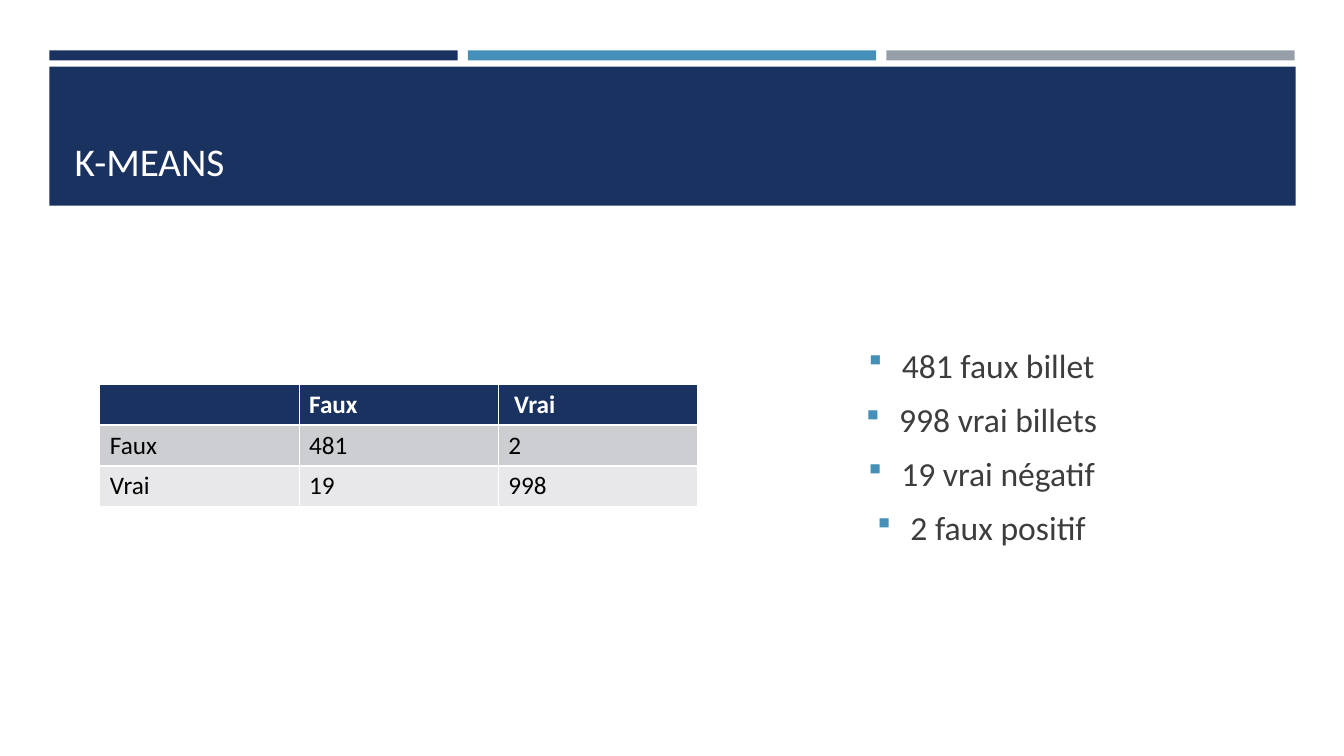
from pptx import Presentation as Deck
from pptx.dml.color import RGBColor as RGB
from pptx.enum.shapes import MSO_SHAPE as Form
from pptx.enum.text import MSO_ANCHOR as Anchor, PP_ALIGN as Align
from pptx.oxml.ns import qn
from pptx.util import Inches, Pt
from lxml.etree import SubElement as Sub

NAVY = RGB(0x1A, 0x32, 0x60)
BLUE = RGB(0x45, 0x90, 0xB8)
GREY = RGB(0x96, 0x9F, 0xA7)
WHITE = RGB(0xFF, 0xFF, 0xFF)
BLACK = RGB(0x00, 0x00, 0x00)
INK = RGB(0x3D, 0x3D, 0x3D)
DARK = RGB(0xCD, 0xCE, 0xD2)
PALE = RGB(0xE8, 0xE8, 0xEA)


class Page:
    """Holds the style and the current slide, and draws each kind of element."""

    def __init__(self, slide, font):
        self.slide = slide
        self.font = font

    def text(self, para, words, size, color, bold=False):
        run = para.add_run()
        run.text = words
        font = run.font
        font.name, font.size, font.bold = self.font, Pt(size), bold
        font.color.rgb = color

    def rect(self, box, color):
        shape = self.slide.shapes.add_shape(Form.RECTANGLE, *map(Inches, box))
        shape.shadow.inherit = False
        shape.fill.solid()
        shape.fill.fore_color.rgb = color
        shape.line.fill.background()

    def title(self, box, words):
        shapes = self.slide.shapes
        head = shapes.title
        shapes._spTree.append(head._element)
        head.left, head.top, head.width, head.height = map(Inches, box)
        frame = head.text_frame
        frame.vertical_anchor = Anchor.BOTTOM
        para = frame.paragraphs[0]
        para.alignment = Align.LEFT
        self.text(para, words, 28, WHITE)

    def table(self, box, rows, fills):
        count, width = len(rows), len(rows[0])
        grid = self.slide.shapes.add_table(count, width, *map(Inches, box)).table
        for i, row in enumerate(rows):
            for j, words in enumerate(row):
                cell = grid.cell(i, j)
                cell.fill.solid()
                cell.fill.fore_color.rgb = fills[i]
                if words:
                    color = BLACK if i else WHITE
                    self.text(cell.text_frame.paragraphs[0], words, 18, color, i == 0)

    def bullet(self, para):
        props = para._p.get_or_add_pPr()
        props.set("marL", str(Inches(0.33)))
        props.set("indent", str(-Inches(0.33)))
        tint = Sub(props, qn("a:buClr"))
        Sub(tint, qn("a:srgbClr"), val=str(BLUE))
        Sub(props, qn("a:buSzPct"), val="92000")
        Sub(props, qn("a:buFont"), typeface="Wingdings")
        Sub(props, qn("a:buChar"), char="§")

    def bullets(self, box, lines):
        frame = self.slide.shapes.add_textbox(*map(Inches, box)).text_frame
        frame.word_wrap = True
        frame.vertical_anchor = Anchor.MIDDLE
        for i, line in enumerate(lines):
            para = frame.add_paragraph() if i else frame.paragraphs[0]
            para.alignment = Align.CENTER
            para.space_before, para.space_after = Pt(4), Pt(6)
            self.bullet(para)
            self.text(para, line, 24, INK)


def main():
    deck = Deck()
    deck.slide_width, deck.slide_height = Inches(13.33), Inches(7.5)
    page = Page(deck.slides.add_slide(deck.slide_layouts[5]), "Calibri")
    for i, color in enumerate((NAVY, BLUE, GREY)):
        page.rect((0.49 + 4.15 * i, 0.5, 4.05, 0.1), color)
    page.rect((0.49, 0.66, 12.36, 1.38), NAVY)
    page.title((0.64, 0.8, 12.06, 1.08), "K-MEANS")
    rows = [("", "Faux", " Vrai"), ("Faux", "481", "2"), ("Vrai", "19", "998")]
    page.table((0.99, 3.81, 5.93, 1.22), rows, (NAVY, DARK, PALE))
    page.bullets(
        (6.77, 2.44, 5.93, 3.97),
        ("481 faux billet", "998 vrai billets", "19 vrai négatif", "2 faux positif"),
    )
    deck.save("out.pptx")


if __name__ == "__main__":
    main()
